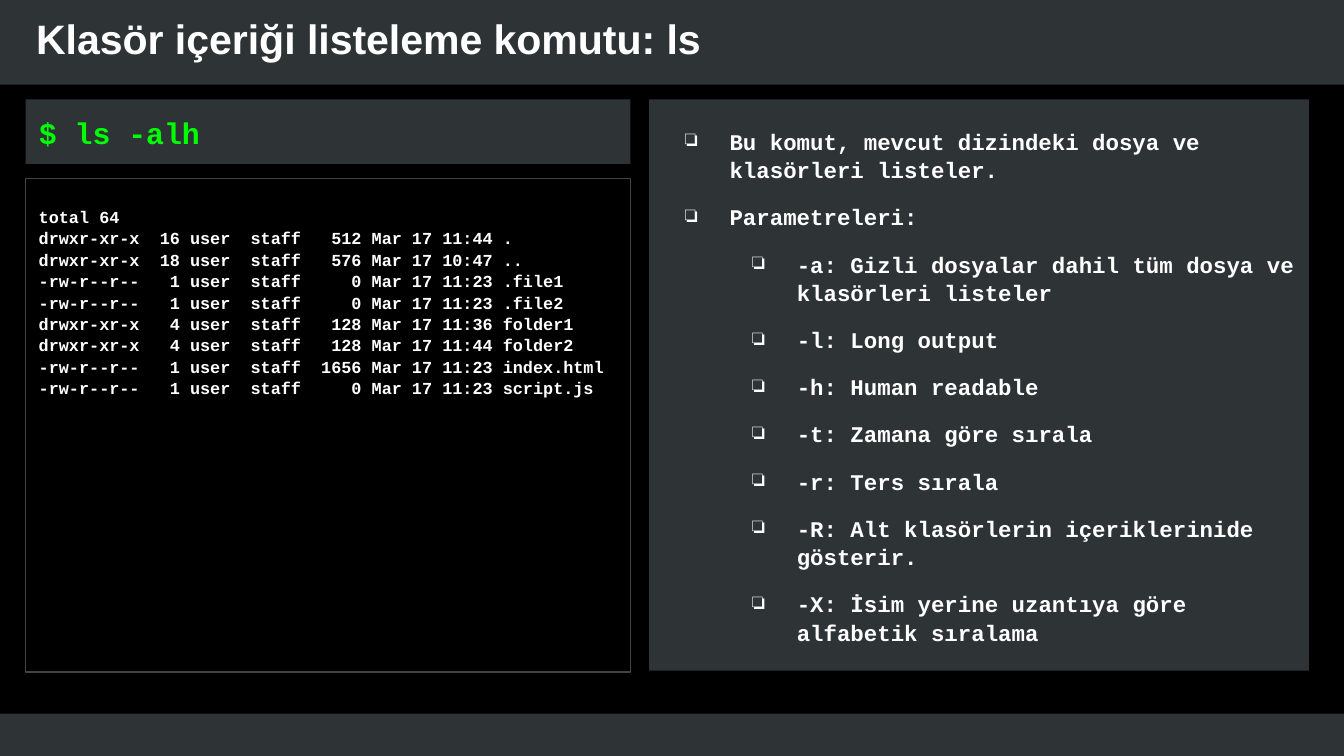
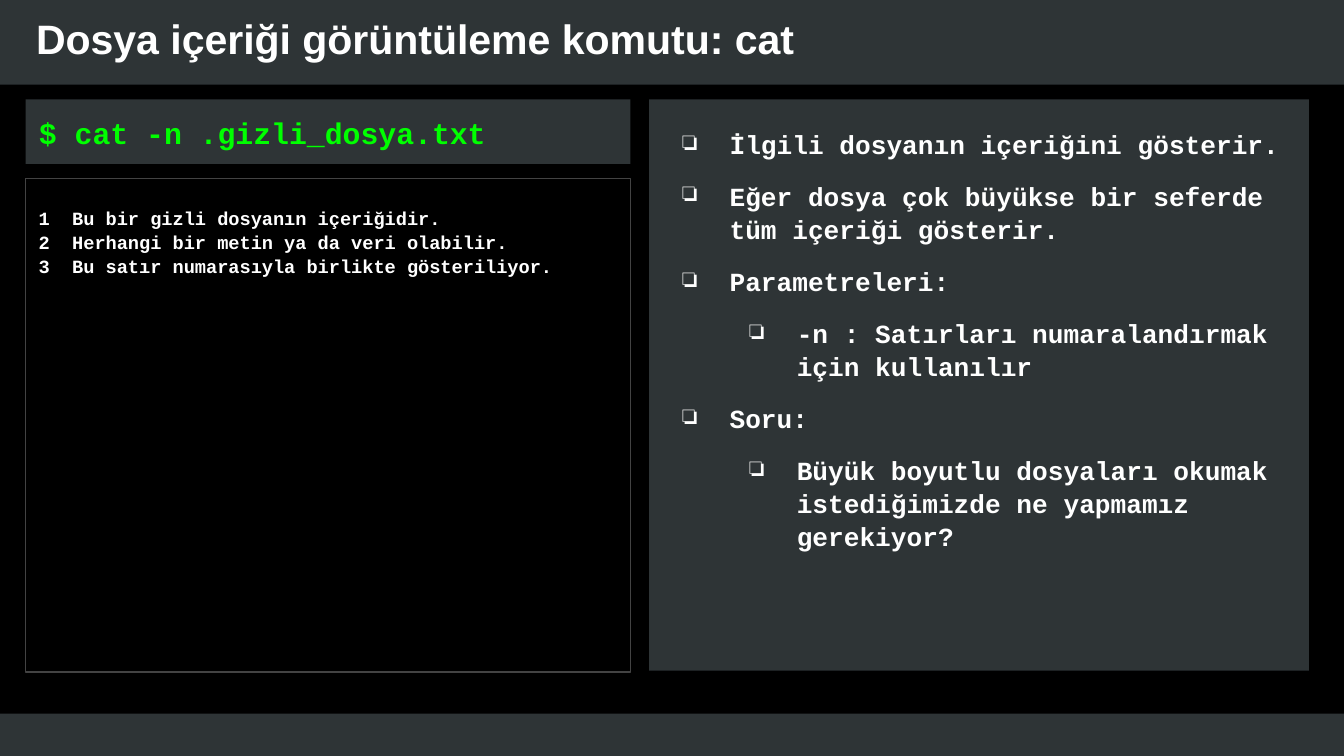
from lxml import etree
from pptx import Presentation
from pptx.dml.color import RGBColor
from pptx.enum.shapes import MSO_SHAPE
from pptx.enum.text import MSO_ANCHOR, PP_ALIGN
from pptx.oxml.ns import qn
from pptx.util import Inches, Pt

RECT = MSO_SHAPE.RECTANGLE
TOP, MIDDLE = MSO_ANCHOR.TOP, MSO_ANCHOR.MIDDLE
LEFT = PP_ALIGN.LEFT

COLORS = {"back": "000000", "panel": "2E3436", "border": "434343",
          "text": "FFFFFF", "command": "00FF00"}
MONO, SANS = "Courier New", "Arial"

# Slide and grid: 100 columns by 56.25 rows
prs = Presentation()
prs.slide_width, prs.slide_height = Inches(10), Inches(5.625)
COL = prs.slide_width / 100
ROW = prs.slide_height / 56.25

# Areas as column, row, columns, rows
FOOTER = (-0.3, 53.1, 100.8, 3.7)
HEADER = (-0.3, -0.8, 100.6, 7.1)
TITLE = (1.7, 0, 85.8, 5.6)
COMMAND = (1.9, 7.4, 45, 4.8)
OUTPUT = (1.9, 13.3, 45, 36.7)
NOTES = (48.3, 7.4, 49.1, 42.5)


def add_box(s, area, fill=None, line=None):
    x, y, w, h = area
    sp = s.shapes.add_shape(RECT, round(x * COL), round(y * ROW),
                            round(w * COL), round(h * ROW))
    sp.shadow.inherit = False
    if fill:
        sp.fill.solid()
        sp.fill.fore_color.rgb = RGBColor.from_string(COLORS[fill])
    else:
        sp.fill.background()
    if line:
        sp.line.color.rgb = RGBColor.from_string(COLORS[line])
        sp.line.width = Pt(0.75)
    else:
        sp.line.fill.background()
    return sp


def add_text(sp, lines, size, font=MONO, color="text", anchor=TOP,
             insets=(1, 2, 1, 1), indent=0, hanging=0, spacing=1.06):
    """Fill a shape with (level, text) lines; a hanging indent brings bullets."""
    tf = sp.text_frame
    tf.word_wrap = True
    tf.vertical_anchor = anchor
    tf.margin_left, tf.margin_right = round(insets[0] * COL), round(insets[2] * COL)
    tf.margin_top, tf.margin_bottom = round(insets[1] * ROW), round(insets[3] * ROW)
    for i, (level, text) in enumerate(lines):
        p = tf.paragraphs[0] if i == 0 else tf.add_paragraph()
        p.alignment, p.level, p.line_spacing = LEFT, level, spacing
        pPr = p._p.get_or_add_pPr()
        pPr.set("marL", str(round((indent + 5 * level) * COL)))
        pPr.set("indent", str(round(-hanging * COL)))
        if hanging:
            p.space_before = Pt(10 if i else 0)
            p.space_after = Pt(10 if i == len(lines) - 1 else 0)
            clr = etree.SubElement(pPr, qn("a:buClr"))
            etree.SubElement(clr, qn("a:srgbClr"), val=COLORS[color])
            etree.SubElement(pPr, qn("a:buChar"), char="❏")
        r = p.add_run()
        r.text = text
        r.font.name, r.font.size, r.font.bold = font, Pt(size), True
        r.font.color.rgb = RGBColor.from_string(COLORS[color])


SLIDES = [
    {
        "title": "Klasör içeriği listeleme komutu: ls",
        "command": "$ ls -alh",
        "output_size": 9,
        "output": [
            "total 64",
            "drwxr-xr-x  16 user  staff   512 Mar 17 11:44 .",
            "drwxr-xr-x  18 user  staff   576 Mar 17 10:47 ..",
            "-rw-r--r--   1 user  staff     0 Mar 17 11:23 .file1",
            "-rw-r--r--   1 user  staff     0 Mar 17 11:23 .file2",
            "drwxr-xr-x   4 user  staff   128 Mar 17 11:36 folder1",
            "drwxr-xr-x   4 user  staff   128 Mar 17 11:44 folder2",
            "-rw-r--r--   1 user  staff  1656 Mar 17 11:23 index.html",
            "-rw-r--r--   1 user  staff     0 Mar 17 11:23 script.js",
        ],
        "notes_size": 12,
        "hanging": 3.3,
        "notes": [
            (0, "Bu komut, mevcut dizindeki dosya ve klasörleri listeler."),
            (0, "Parametreleri:"),
            (1, "-a: Gizli dosyalar dahil tüm dosya ve klasörleri listeler"),
            (1, "-l: Long output"),
            (1, "-h: Human readable"),
            (1, "-t: Zamana göre sırala"),
            (1, "-r: Ters sırala"),
            (1, "-R: Alt klasörlerin içeriklerinide gösterir."),
            (1, "-X: İsim yerine uzantıya göre alfabetik sıralama"),
        ],
    },
    {
        "title": "Dosya içeriği görüntüleme komutu: cat",
        "command": "$ cat -n .gizli_dosya.txt",
        "output_size": 10,
        "output": [
            "1  Bu bir gizli dosyanın içeriğidir.",
            "2  Herhangi bir metin ya da veri olabilir.",
            "3  Bu satır numarasıyla birlikte gösteriliyor.",
        ],
        "notes_size": 14,
        "hanging": 3.5,
        "notes": [
            (0, "İlgili dosyanın içeriğini gösterir."),
            (0, "Eğer dosya çok büyükse bir seferde tüm içeriği gösterir."),
            (0, "Parametreleri:"),
            (1, "-n : Satırları numaralandırmak için kullanılır"),
            (0, "Soru:"),
            (1, "Büyük boyutlu dosyaları okumak istediğimizde ne yapmamız gerekiyor?"),
        ],
    },
]

for data in SLIDES:
    s = prs.slides.add_slide(prs.slide_layouts[6])
    s.background.fill.solid()
    s.background.fill.fore_color.rgb = RGBColor.from_string(COLORS["back"])

    # Bands and title
    for band in (FOOTER, HEADER):
        add_box(s, band, fill="panel")
    add_text(add_box(s, TITLE), [(0, data["title"])], 22, font=SANS,
             anchor=MIDDLE, insets=(1, 1, 1, 1), spacing=1.0)

    # Terminal: command and its output
    add_text(add_box(s, COMMAND, fill="panel"), [(0, data["command"])], 16,
             color="command", anchor=MIDDLE, insets=(0, 0, 0, 0), indent=1)
    add_text(add_box(s, OUTPUT, line="border"),
             [(0, line) for line in data["output"]], data["output_size"])

    # Explanation
    add_text(add_box(s, NOTES, fill="panel"), data["notes"], data["notes_size"],
             indent=5, hanging=data["hanging"])

prs.save("out.pptx")
